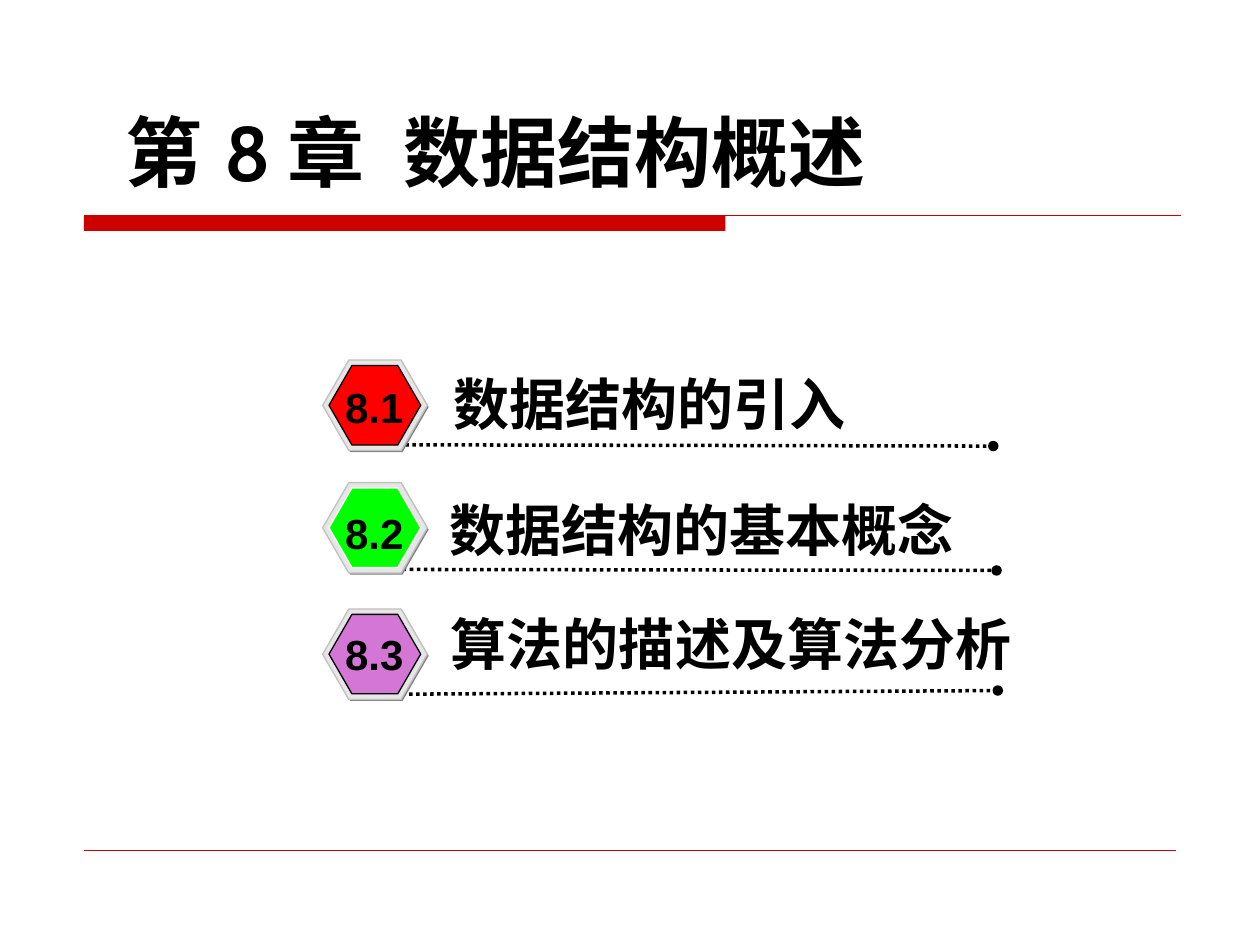
from dataclasses import dataclass

from lxml import etree
from pptx import Presentation
from pptx import util as u
from pptx.dml.color import RGBColor
from pptx.enum import dml, shapes, text
from pptx.oxml.ns import qn


@dataclass(frozen=True)
class Theme:
    accent: str = "CC0000"
    ink: str = "000000"
    rim: str = "E6E6E6"
    rim_line: str = "C0C0C0"
    shade: str = "808080"
    font: str = "Arial"
    digit_font: str = "Cabin"
    title_size: float = 44
    topic_size: float = 32
    number_size: float = 24


class SlideBuilder:
    def __init__(self, slide, theme):
        self.slide = slide
        self.theme = theme

    def shape(self, parent, kind, left, top, width, height, fill, line=None):
        shape = parent.shapes.add_shape(
            kind, u.Pt(left), u.Pt(top), u.Pt(width), u.Pt(height))
        shape.shadow.inherit = False
        shape.fill.solid()
        shape.fill.fore_color.rgb = RGBColor.from_string(fill)
        if line:
            shape.line.color.rgb = RGBColor.from_string(line)
            shape.line.width = u.Pt(0.75)
        else:
            shape.line.fill.background()
        return shape

    def rule(self, x1, y1, x2, y2, color, width):
        rule = self.slide.shapes.add_connector(
            shapes.MSO_CONNECTOR.STRAIGHT, u.Pt(x1), u.Pt(y1), u.Pt(x2), u.Pt(y2))
        rule.line.color.rgb = RGBColor.from_string(color)
        rule.line.width = u.Pt(width)
        etree.SubElement(rule._element.spPr, qn("a:effectLst"))
        return rule

    def dotted_rule(self, x1, y1, x2, y2):
        rule = self.rule(x1, y1, x2, y2, self.theme.ink, 2)
        rule.line.dash_style = dml.MSO_LINE.ROUND_DOT
        etree.SubElement(rule.line._get_or_add_ln(), qn("a:tailEnd"), type="oval")

    def badge(self, top, color, outline):
        """Hexagon with a shaded edge, a pale rim and a coloured face."""
        group = self.slide.shapes.add_group_shape()
        layers = (
            (185.2, top + 0.9, 59.8, 51.7, self.theme.shade, None),
            (184.4, top, 59.8, 51.7, self.theme.rim, self.theme.rim_line),
            (188, top + 3.1, 52.4, 45.4, color, outline),
        )
        for layer in layers:
            hexagon = self.shape(group, shapes.MSO_SHAPE.HEXAGON, *layer)
            hexagon.adjustments[0] = 0.289
            hexagon.adjustments[1] = 1.155

    def text(self, left, top, width, height, runs, size, centered=False, middle=False):
        """Each run is (wording, font, extra letter spacing in points)."""
        box = self.slide.shapes.add_textbox(
            u.Pt(left), u.Pt(top), u.Pt(width), u.Pt(height))
        frame = box.text_frame
        frame.word_wrap = not centered
        if middle:
            frame.vertical_anchor = text.MSO_ANCHOR.MIDDLE
        paragraph = frame.paragraphs[0]
        paragraph.alignment = text.PP_ALIGN.CENTER if centered else text.PP_ALIGN.LEFT
        for wording, font, spacing in runs:
            run = paragraph.add_run()
            run.text = wording
            run.font.size = u.Pt(size)
            run.font.bold = True
            run.font.name = font
            run.font.color.rgb = RGBColor.from_string(self.theme.ink)
            properties = run._r.get_or_add_rPr()
            etree.SubElement(properties, qn("a:ea"), typeface=font)
            if spacing:
                properties.set("spc", str(round(spacing * 100)))


def main():
    theme = Theme()
    presentation = Presentation()
    presentation.slide_width = u.Pt(720)
    presentation.slide_height = u.Pt(540)
    slide = presentation.slides.add_slide(presentation.slide_layouts[6])
    builder = SlideBuilder(slide, theme)

    # Header bar and footer rule
    builder.shape(slide, shapes.MSO_SHAPE.RECTANGLE, 48, 123.1, 366.5, 8.9, theme.accent)
    builder.rule(48, 123.1, 674.8, 123.1, theme.accent, 0.75)
    builder.rule(48, 486, 672, 486, theme.accent, 0.25)

    # Chapter title
    builder.text(64.8, 43.9, 601.9, 84.2, (
        ("第 ", theme.font, 0),
        ("8 ", theme.digit_font, 0),
        ("章", theme.font, 0),
        (" ", theme.font, 9.9),
        ("数据结构概述", theme.font, 0),
    ), theme.title_size, middle=True)

    # Sections: number, topic, face colour, face outline, badge top,
    # number top, topic left, top and width, dotted rule ends
    sections = (
        ("8.1", "数据结构的引入", "FF0000", theme.ink, 205.8,
         214.6, (252, 207.4, 345.6), (231.6, 254.2, 567.6, 254.9)),
        ("8.2", "数据结构的基本概念", "00FF00", "FFFFFF", 275.8,
         286.6, (249.8, 279.4, 331.2), (226.1, 325.4, 569.5, 326)),
        ("8.3", "算法的描述及算法分析", "D476D6", theme.ink, 348,
         355.7, (250.6, 344.9, 416.2), (229.7, 396.7, 570.2, 394.6)),
    )
    for (number, topic, color, outline, badge_top,
         number_top, (left, top, width), rule_ends) in sections:
        builder.dotted_rule(*rule_ends)
        builder.badge(badge_top, color, outline)
        builder.text(190.1, number_top, 47.5, 36,
                     ((number, theme.font, 0),), theme.number_size, centered=True)
        builder.text(left, top, width, 46.1,
                     ((topic, theme.font, 0),), theme.topic_size)

    presentation.save("out.pptx")


if __name__ == "__main__":
    main()
